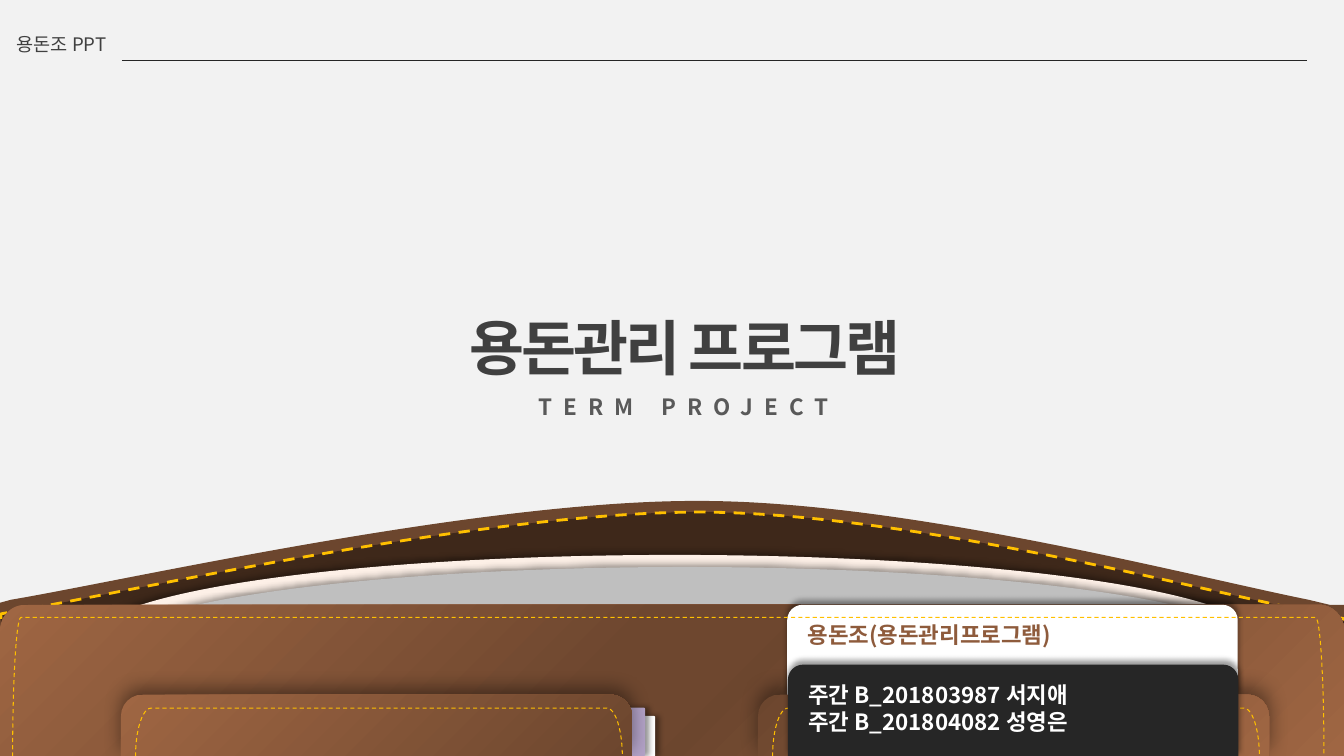
from dataclasses import dataclass
from typing import Optional

import pptx
import pptx.dml.color
import pptx.enum.dml
import pptx.enum.shapes
import pptx.enum.text
import pptx.oxml
import pptx.oxml.ns
import pptx.util

# The slide is a grid of 160 columns by 90 rows with square cells.
COLUMNS, ROWS = 160, 90
CELL = pptx.util.Inches(1) / 12
FONT = "Noto Sans CJK KR"
BROWN, TAN, STITCH = "6C462E", "9F6643", "FFC000"
SHAPES = pptx.enum.shapes.MSO_SHAPE
ROUND_TOP = SHAPES.ROUND_2_SAME_RECTANGLE
DRAWING = pptx.oxml.ns.nsdecls("a")
Point = tuple[float, float]


@dataclass
class Shadow:
    blur: float = 4
    distance: float = 3
    direction: int = 270


@dataclass
class Words:
    lines: list[str]
    size: float
    color: str
    bold: bool = True
    spacing: float = 0


@dataclass
class Layer:
    """One part of the wallet; box is left, top, width, height as seen after turning."""
    box: tuple[float, float, float, float]
    geometry: int
    fill: Optional[str] = None
    gradient: Optional[list[tuple[int, str]]] = None
    turn: int = 0
    adjustments: tuple[float, ...] = ()
    shadow: Optional[Shadow] = None
    stitched: bool = False
    words: Optional[Words] = None


@dataclass
class Flap:
    """An arched piece: two joined Bezier curves (seven points), then the straight base."""
    arch: list[Point]
    base: list[Point]
    fill: str
    stitched: bool = False


def cells(count: float) -> int:
    return round(count * CELL)


def rgb(color: str) -> pptx.dml.color.RGBColor:
    return pptx.dml.color.RGBColor.from_string(color)


def paint(shape, color: Optional[str]) -> None:
    if color is None:
        shape.fill.background()
    else:
        shape.fill.solid()
        shape.fill.fore_color.rgb = rgb(color)


def outline(shape, stitched: bool, width: float) -> None:
    if stitched:
        shape.line.color.rgb = rgb(STITCH)
        shape.line.width = pptx.util.Pt(width)
        shape.line.dash_style = pptx.enum.dml.MSO_LINE.DASH
    else:
        shape.line.fill.background()


def paint_radial(shape, stops: list[tuple[int, str]]) -> None:
    """Spread a round gradient from the lower right corner."""
    shape.fill.gradient()
    stop_xml = "".join(f'<a:gs pos="{share * 1000}"><a:srgbClr val="{color}"/></a:gs>'
                       for share, color in stops)
    radial = pptx.oxml.parse_xml(
        f'<a:gradFill {DRAWING} rotWithShape="1"><a:gsLst>{stop_xml}</a:gsLst>'
        '<a:path path="circle"><a:fillToRect l="100000" t="100000"/></a:path></a:gradFill>')
    properties = shape._element.spPr
    properties.replace(properties.find(pptx.oxml.ns.qn("a:gradFill")), radial)


def cast_shadow(shape, shadow: Shadow) -> None:
    effects = shape._element.spPr.find(pptx.oxml.ns.qn("a:effectLst"))
    effects.append(pptx.oxml.parse_xml(
        f'<a:outerShdw {DRAWING} blurRad="{pptx.util.Pt(shadow.blur)}" '
        f'dist="{pptx.util.Pt(shadow.distance)}" dir="{shadow.direction * 60000}" '
        'algn="ctr" rotWithShape="0"><a:srgbClr val="000000">'
        '<a:alpha val="40000"/></a:srgbClr></a:outerShdw>'))


def write(frame, words: Words, align: int, anchor: int) -> None:
    frame.word_wrap = True
    frame.auto_size = pptx.enum.text.MSO_AUTO_SIZE.NONE
    frame.vertical_anchor = anchor
    for index, line in enumerate(words.lines):
        paragraph = frame.add_paragraph() if index else frame.paragraphs[0]
        paragraph.alignment = align
        paragraph.space_before = pptx.util.Pt(0)
        run = paragraph.add_run()
        run.text = line
        run.font.size = pptx.util.Pt(words.size)
        run.font.bold = words.bold
        run.font.color.rgb = rgb(words.color)
        run.font.name = FONT
        properties = run.font._element
        properties.append(pptx.oxml.parse_xml(f'<a:ea {DRAWING} typeface="{FONT}"/>'))
        properties.set("kern", "0")
        if words.spacing:
            properties.set("spc", str(round(words.spacing * 100)))


def write_heading(holder, box: tuple[float, float, float, float], words: Words) -> None:
    holder.left, holder.top, holder.width, holder.height = map(cells, box)
    write(holder.text_frame, words, pptx.enum.text.PP_ALIGN.CENTER,
          pptx.enum.text.MSO_ANCHOR.MIDDLE)


def bend_arch(shape, arch: list[Point]) -> None:
    """Turn the first segments of a freeform, three at a time, into Bezier curves."""
    segments = list(shape._element.iter(pptx.oxml.ns.qn("a:lnTo")))[:len(arch) - 1]
    for start in range(0, len(segments), 3):
        curve = pptx.oxml.parse_xml(f"<a:cubicBezTo {DRAWING}/>")
        segments[start].addprevious(curve)
        for segment in segments[start:start + 3]:
            curve.append(segment[0])
            segment.getparent().remove(segment)


def draw_flap(slide, flap: Flap) -> None:
    points = [(cells(x), cells(y)) for x, y in flap.arch + flap.base]
    builder = slide.shapes.build_freeform(*points[0])
    builder.add_line_segments(points[1:], close=True)
    shape = builder.convert_to_shape()
    bend_arch(shape, flap.arch)
    shape.shadow.inherit = False
    paint(shape, flap.fill)
    outline(shape, flap.stitched, 2)


def draw_layer(slide, layer: Layer) -> None:
    left, top, width, height = layer.box
    if layer.turn:
        left, top = left + (width - height) / 2, top + (height - width) / 2
        width, height = height, width
    shape = slide.shapes.add_shape(layer.geometry, *map(cells, (left, top, width, height)))
    shape.rotation = layer.turn
    for index, value in enumerate(layer.adjustments):
        shape.adjustments[index] = value
    shape.shadow.inherit = False
    if layer.gradient:
        paint_radial(shape, layer.gradient)
    else:
        paint(shape, layer.fill)
    outline(shape, layer.stitched, 0.75)
    if layer.shadow:
        cast_shadow(shape, layer.shadow)
    if layer.words:
        shape.text_frame.margin_left = pptx.util.Inches(0.16)
        shape.text_frame.margin_top = pptx.util.Inches(0.12)
        write(shape.text_frame, layer.words, pptx.enum.text.PP_ALIGN.LEFT,
              pptx.enum.text.MSO_ANCHOR.TOP)


def paper(left: float, top: float, color: str) -> Layer:
    return Layer((left, top, 139.2, 20.04), SHAPES.FLOWCHART_DELAY, color, turn=270,
                 shadow=Shadow())


def pocket(left: float, inner: str, outer: str, shadow: Shadow) -> Layer:
    return Layer((left, 82.68, 60.84, 7.32), ROUND_TOP, gradient=[(0, inner), (100, outer)],
                 adjustments=(0.35, 0), shadow=shadow)


def stitching(box: tuple[float, float, float, float], bend: float) -> Layer:
    return Layer(box, SHAPES.RIGHT_BRACKET, turn=270, adjustments=(bend,), stitched=True)


def pocket_stitching(left: float) -> Layer:
    return stitching((left + 1.74, 84.3, 57.96, 5.76), 0.32)


def card(left: float, top: float, color: str, lines: list[str], text_color: str) -> Layer:
    return Layer((left, top, 53.64, 10.92), ROUND_TOP, color, shadow=Shadow(),
                 words=Words(lines, 16, text_color))


def banknote(left: float, top: float, height: float, color: str) -> Layer:
    return Layer((left, top, 7.56, height), ROUND_TOP, color, turn=90,
                 adjustments=(0.03, 0), shadow=Shadow(direction=0))


LEFT_POCKET, RIGHT_POCKET = 14.4, 90.24
FLAPS = [
    Flap([(1.32, 71.4), (14.88, 69.12), (57.12, 59.52), (83.28, 59.64),
          (107.76, 59.64), (141.48, 68.52), (155.76, 71.4)],
         [(158.28, 72), (160, 72), (160, 82.32), (147.12, 82.32), (143.16, 82.92),
          (84.24, 82.32), (0, 81.24), (0, 71.76)], BROWN),
    Flap([(1.44, 72.84), (15, 70.56), (57.24, 60.96), (83.4, 60.96),
          (109.56, 61.08), (146.16, 71.16), (158.52, 73.32)],
         [(160.08, 73.68), (160.08, 74.4), (159.6, 74.28), (157.8, 74.64), (158.28, 79.32),
          (156.84, 81.84), (143.28, 84.36), (4.08, 82.92), (0.12, 82.68), (0.12, 78.6),
          (1.8, 77.76), (2.4, 75.12), (0.12, 74.76), (0.12, 73.08)], "3E281A", True),
]
LAYERS = [
    paper(10.74, 66.06, "FDF0E7"),
    paper(11.94, 67.5, "BFBFBF"),
    Layer((0, 72, COLUMNS, 18), ROUND_TOP,
          gradient=[(0, TAN), (46, BROWN), (55, "6E472F"), (100, TAN)]),
    card(93.72, 72, "FFFFFF", ["용돈조(용돈관리프로그램)"], "8E5B3C"),
    pocket(RIGHT_POCKET, TAN, BROWN, Shadow(14, 6)),
    pocket_stitching(RIGHT_POCKET),
    stitching((1.5, 73.5, 156.12, 16.56), 0.06),
    card(93.8, 79.12, "262626", ["주간 B_201803987 서지애", "주간 B_201804082 성영은"], "FFFFFF"),
    banknote(70.44, 85.24, 4.8, "FFFFFF"),
    banknote(69.24, 84.24, 5.76, "B3A2C7"),
    pocket(LEFT_POCKET, BROWN, TAN, Shadow(13, 5)),
    pocket_stitching(LEFT_POCKET),
]


def main() -> None:
    deck = pptx.Presentation()
    deck.slide_width, deck.slide_height = cells(COLUMNS), cells(ROWS)
    slide = deck.slides.add_slide(deck.slide_layouts[0])
    slide.background.fill.solid()
    slide.background.fill.fore_color.rgb = rgb("F2F2F2")
    for flap in FLAPS:
        draw_flap(slide, flap)
    for layer in LAYERS:
        draw_layer(slide, layer)

    write_heading(slide.shapes.title, (50.4, 36.36, 62.28, 9.84),
                  Words(["용돈관리 프로그램"], 42.7, "404040", spacing=-2))
    write_heading(slide.placeholders[1], (44.28, 46.2, 74.28, 4.44),
                  Words(["TERM PROJECT"], 16, "595959", spacing=8))
    team = slide.shapes.add_textbox(0, 0, 0, 0)
    write_heading(team, (0, 3.24, 14.64, 3.96),
                  Words(["용돈조 PPT"], 13.3, "404040", bold=False))
    rule = slide.shapes.add_connector(pptx.enum.shapes.MSO_CONNECTOR.STRAIGHT,
                                      *map(cells, (14.52, 7.2, 155.64, 7.2)))
    rule.line.color.rgb = rgb("262626")
    rule.line.width = pptx.util.Pt(0.75)
    rule._element.spPr.append(pptx.oxml.parse_xml(f"<a:effectLst {DRAWING}/>"))
    deck.save("out.pptx")


if __name__ == "__main__":
    main()
